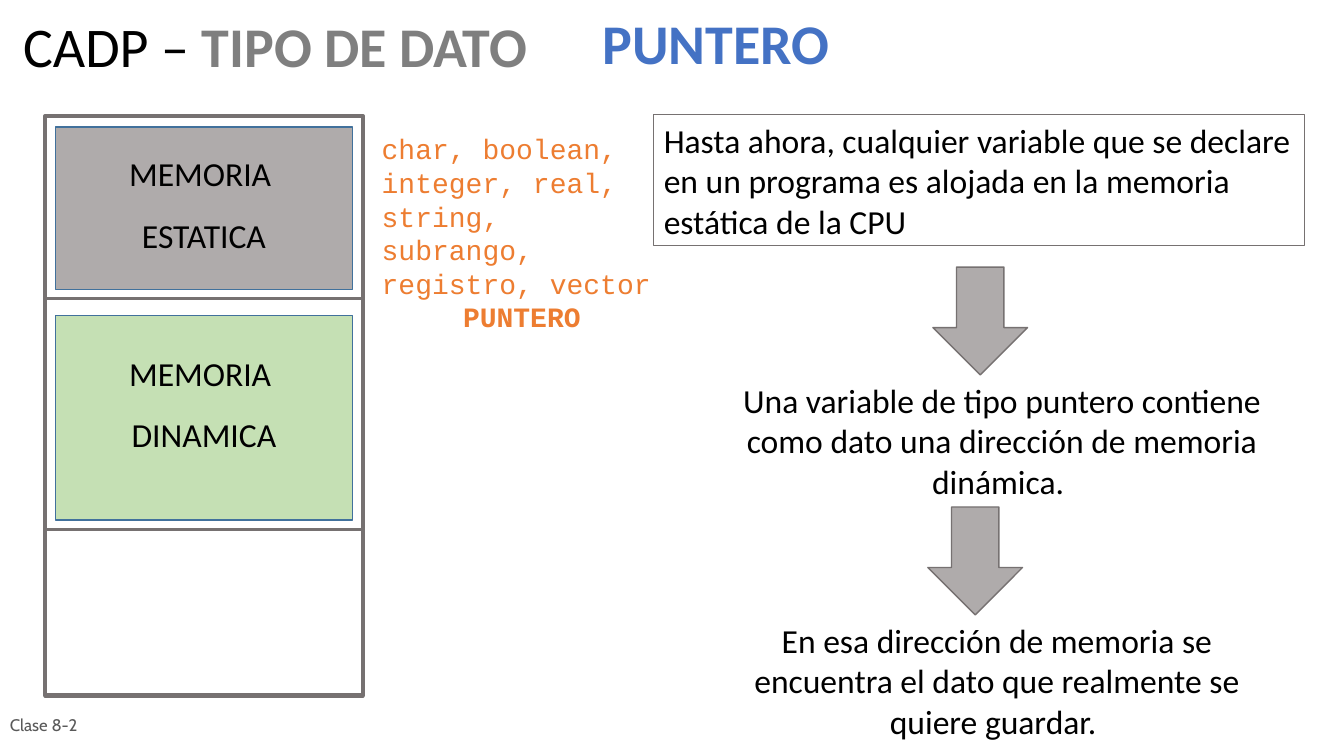
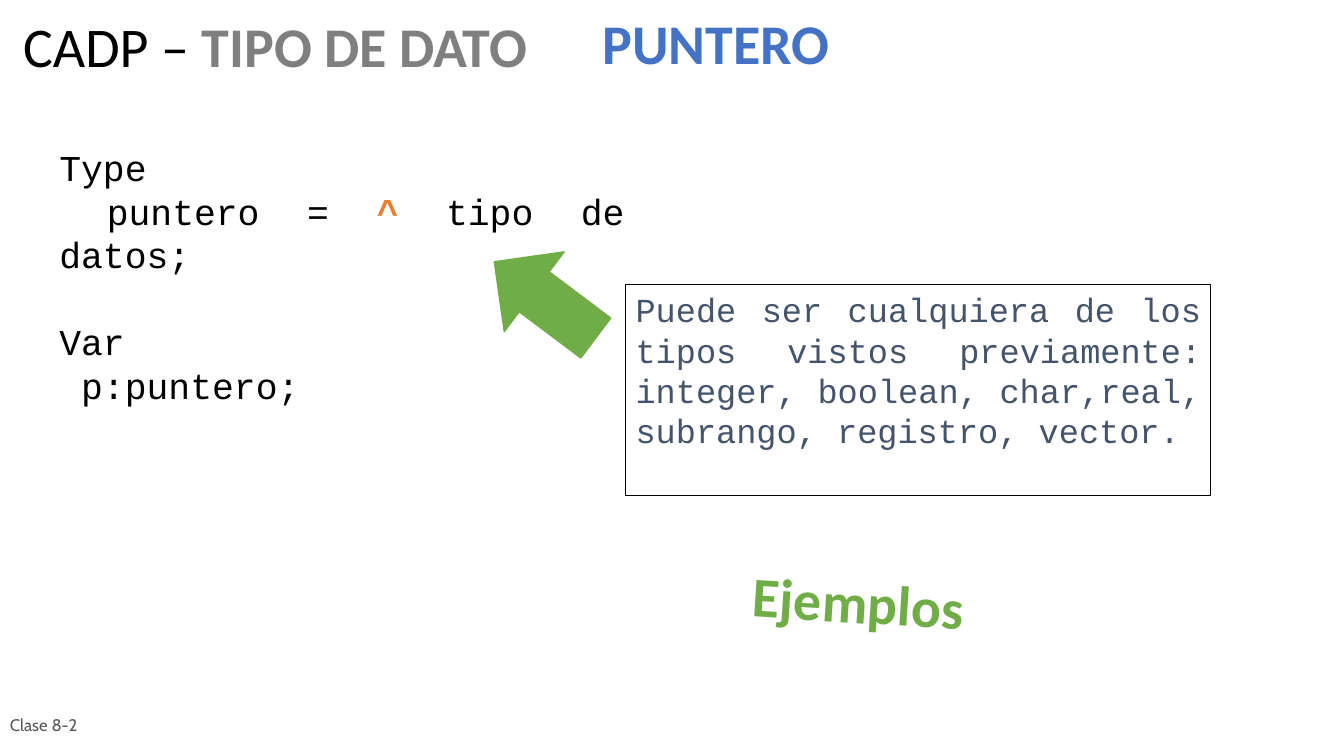
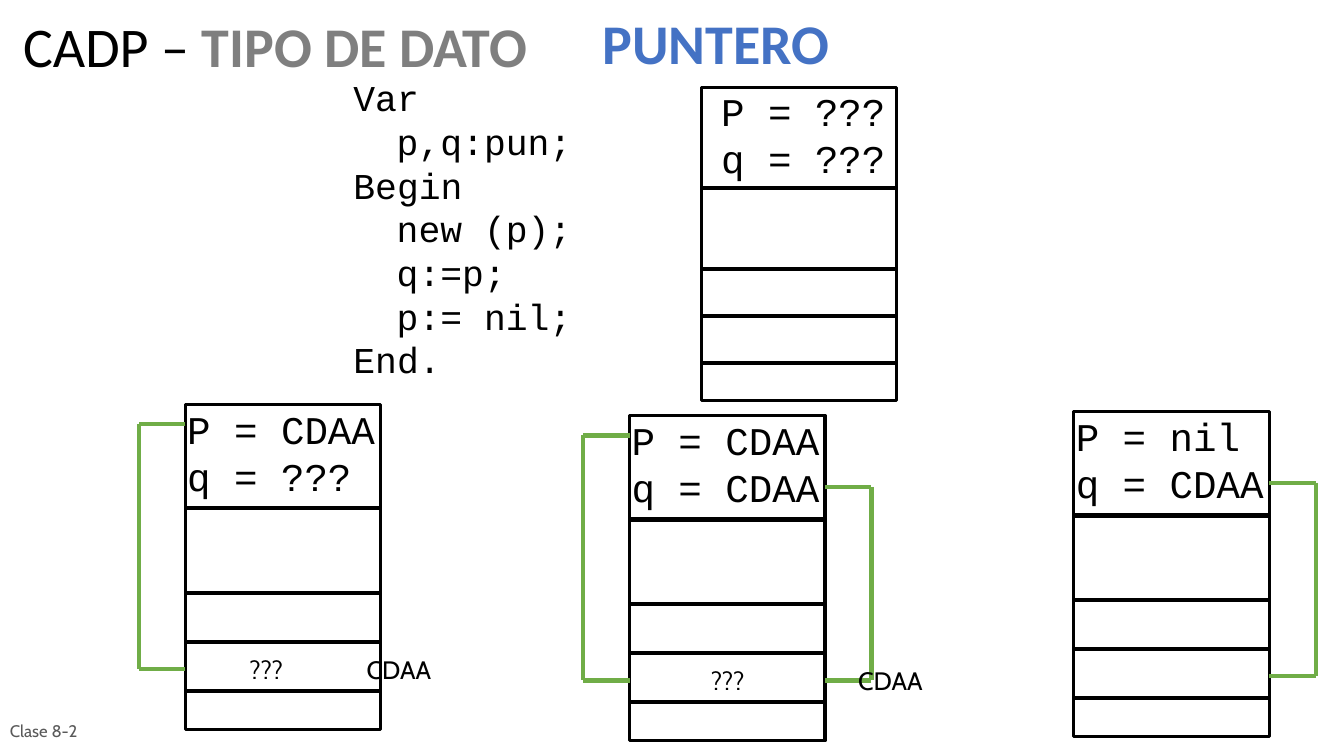
from lxml.etree import SubElement
from pptx import Presentation
from pptx.dml.color import RGBColor
from pptx.enum.shapes import MSO_CONNECTOR, MSO_SHAPE
from pptx.enum.text import MSO_ANCHOR, MSO_AUTO_SIZE, PP_ALIGN
from pptx.oxml.ns import qn
from pptx.util import Inches, Pt

INK = {
    "black": "000000", "grey": "7F7F7F", "blue": "4472C4", "foot": "595959",
    "frame": "767171", "static": "AFABAB", "heap": "C5E0B4", "edge": "41719C",
    "orange": "ED7D31", "green": "70AD47", "slate": "44546A",
}
SANS, MONO, FOOT = "Calibri", "Courier New", "Cabin"
LEFT, MID, JUST = PP_ALIGN.LEFT, PP_ALIGN.CENTER, PP_ALIGN.JUSTIFY
CELL_W = 1.94
CUTS = (0.32, 0.58, 0.73, 0.88)


def rgb(name):
    return RGBColor.from_string(INK[name])


def write(shape, lines, size, font=SANS, ink="black", bold=False,
          align=LEFT, gap=0, lead=None, anchor=MSO_ANCHOR.TOP):
    """Fill a shape with lines; a line is a string or a list of (text, ink, bold)."""
    frame = shape.text_frame
    frame.word_wrap = True
    frame.auto_size = MSO_AUTO_SIZE.NONE
    frame.vertical_anchor = anchor
    for i, line in enumerate(lines):
        para = frame.paragraphs[0] if i == 0 else frame.add_paragraph()
        para.alignment = align
        para.space_before = Pt(gap)
        if lead:
            para.line_spacing = lead
        parts = [(line, ink, bold)] if isinstance(line, str) else line
        for text, tone, heavy in parts:
            run = para.add_run()
            run.text = text
            run.font.name = font
            run.font.size = Pt(size)
            run.font.bold = heavy
            run.font.color.rgb = rgb(tone)
    return frame.paragraphs


def label(slide, box, lines, size, **style):
    shape = slide.shapes.add_textbox(*map(Inches, box))
    return shape, write(shape, lines, size, **style)


def draw(slide, kind, box, line, width, fill=None):
    shape = slide.shapes.add_shape(kind, *map(Inches, box))
    shape.shadow.inherit = False
    if fill:
        shape.fill.solid()
        shape.fill.fore_color.rgb = rgb(fill)
    else:
        shape.fill.background()
    shape.line.color.rgb = rgb(line)
    shape.line.width = Pt(width)
    return shape


def rule(slide, x1, y1, x2, y2, ink, width):
    line = slide.shapes.add_connector(
        MSO_CONNECTOR.STRAIGHT, *map(Inches, (x1, y1, x2, y2)))
    line.line.color.rgb = rgb(ink)
    line.line.width = Pt(width)
    SubElement(line._element.spPr, qn("a:effectLst"))


def start(deck, foot=6.99):
    """Add a slide with the shared title, topic and footer."""
    slide = deck.slides.add_slide(deck.slide_layouts[5])
    title = slide.shapes.title
    title.left, title.top, title.width, title.height = map(
        Inches, (0.13, 0.14, 5.28, 0.76))
    write(title, [[("CADP – ", "black", False), ("TIPO DE DATO", "grey", True)]],
          40, lead=0.9)
    label(slide, (5.88, 0.11, 5.28, 0.76), ["PUNTERO"], 40, ink="blue",
          bold=True, lead=0.9)
    label(slide, (0, foot, 2.33, 0.4), ["Clase 8-2"], 12, font=FOOT, ink="foot",
          anchor=MSO_ANCHOR.MIDDLE)
    return slide


def memory(slide, x, y, w, h):
    """Draw the frame with its static and dynamic zones."""
    draw(slide, MSO_SHAPE.RECTANGLE, (x, y, w, h), "frame", 3)
    for cut in (1.81, 4.1):
        rule(slide, x, y + cut, x + w, y + cut, "frame", 2.25)
    zones = (("ESTATICA", "static", 0.11, 1.61, 0.32),
             ("DINAMICA", "heap", 1.98, 2.03, 2.3))
    for name, fill, top, tall, text in zones:
        draw(slide, MSO_SHAPE.RECTANGLE, (x + 0.1, y + top, w - 0.2, tall),
             "edge", 1, fill)
        label(slide, (x + 0.71, y + text, 1.73, 1.11), ["MEMORIA ", name], 24,
              align=MID, gap=15)


def flow(slide, x, y, steps):
    """Stack an arrow and a statement for each step; each row slips left a little."""
    for i, step in enumerate(steps):
        left, top = x - 0.05 * i, y + 2.38 * i
        draw(slide, MSO_SHAPE.DOWN_ARROW, (left + 2.16, top, 0.94, 1.07),
             "frame", 1, "static")
        label(slide, (left, top + 1.07, 5.69, 1.3), [step], 24, align=MID, gap=15)


def stack(slide, x, y, h, lines, shift=(-0.08, -0.04)):
    """Draw a memory stack with its variables in the top cell."""
    draw(slide, MSO_SHAPE.RECTANGLE, (x, y, CELL_W, h), "black", 2.25)
    for cut in CUTS:
        rule(slide, x, y + h * cut, x + CELL_W, y + h * cut, "black", 3)
    label(slide, (x + shift[0], y + shift[1], 2.2, 1.04), lines, 28, font=MONO)


def link(slide, edge, reach, top, low):
    """Join two heights of a stack's edge with a bracket."""
    far = edge + reach
    rule(slide, edge, top, far, top, "green", 3)
    rule(slide, far, top, far, low, "green", 3)
    rule(slide, far, low, edge, low, "green", 3)


def tags(slide, y, value, address):
    for x, text in ((value, "???"), (address, "CDAA")):
        label(slide, (x, y, 1, 0.4), [text], 18, font=FOOT)


def intro(deck):
    slide = start(deck)
    note = draw(slide, MSO_SHAPE.RECTANGLE, (6.49, 1.14, 6.46, 1.3), "frame", 0.75)
    write(note, ["Hasta ahora, cualquier variable que se declare en un programa "
                 "es alojada en la memoria estática de la CPU"], 24, gap=15)
    memory(slide, 0.45, 1.15, 3.15, 5.75)
    _, paras = label(slide, (3.69, 1.26, 2.98, 2.1), [
        "char, boolean,", "integer, real,", "string, subrango,",
        "registro, vector", [("PUNTERO", "orange", True)],
    ], 20, font=MONO, ink="orange")
    paras[-1].alignment = MID
    flow(slide, 7.1, 2.65, (
        "Una variable de tipo puntero contiene como dato una dirección "
        "de memoria dinámica. ",
        "En esa dirección de memoria se encuentra el dato que realmente "
        "se quiere guardar. "))


def syntax(deck):
    slide = start(deck)
    _, paras = label(slide, (0.49, 1.39, 5.81, 3.13), [
        "Type",
        [(" puntero = ", "black", False), ("^", "orange", True),
         (" tipo de datos;", "black", False)],
        "Var", " p:puntero;",
    ], 26, font=MONO, align=JUST)
    paras[2].space_before = Pt(31)
    arrow = draw(slide, MSO_SHAPE.RIGHT_ARROW, (4.78, 2.48, 1.26, 0.99),
                 "green", 1, "green")
    arrow.rotation = 216.9
    note = draw(slide, MSO_SHAPE.RECTANGLE, (6.21, 2.82, 5.81, 2.1), "black", 0.75)
    write(note, ["Puede ser cualquiera de los tipos vistos previamente: integer, "
                 "boolean, char,real, subrango, registro, vector."],
          24, font=MONO, ink="slate", align=JUST)
    tilt, _ = label(slide, (6.84, 5.58, 3.36, 0.77), ["Ejemplos"], 40,
                    ink="green", bold=True, align=MID, gap=25)
    tilt.rotation = 3.6


def trace(deck):
    slide = start(deck, foot=7.05)
    code = ("Var", "p,q:pun;", "Begin", "new (p);", "q:=p;", "p:= nil;", "End.")
    _, paras = label(slide, (3.41, 0.7, 2.7, 3.13), code, 26, font=MONO)
    for para in paras:
        if para.text.endswith(";"):
            para._p.get_or_add_pPr().set("marL", str(Inches(0.43)))
    stack(slide, 6.96, 0.87, 3.1, ["P = ???", "q = ???"], shift=(0.1, -0.05))
    states = (
        (1.84, 4.01, ("P = CDAA", "q = ???"), "p", (0.54, 1.7)),
        (6.25, 4.12, ("P = CDAA", "q = CDAA"), "pq", (0.71, 2.17)),
        (10.66, 4.08, ("P = nil", "q = CDAA"), "q", None),
    )
    for x, y, lines, links, marks in states:
        stack(slide, x, y, 3.23, lines)
        if "p" in links:
            link(slide, x, -0.46, y + 0.2, y + 2.63)
        if "q" in links:
            link(slide, x + CELL_W, 0.46, y + 0.71, y + 2.63)
        if marks:
            tags(slide, y + 2.43, *(x + mark for mark in marks))


def main():
    deck = Presentation()
    deck.slide_width, deck.slide_height = Inches(13.34), Inches(7.5)
    for make in (intro, syntax, trace):
        make(deck)
    deck.save("out.pptx")


if __name__ == "__main__":
    main()
